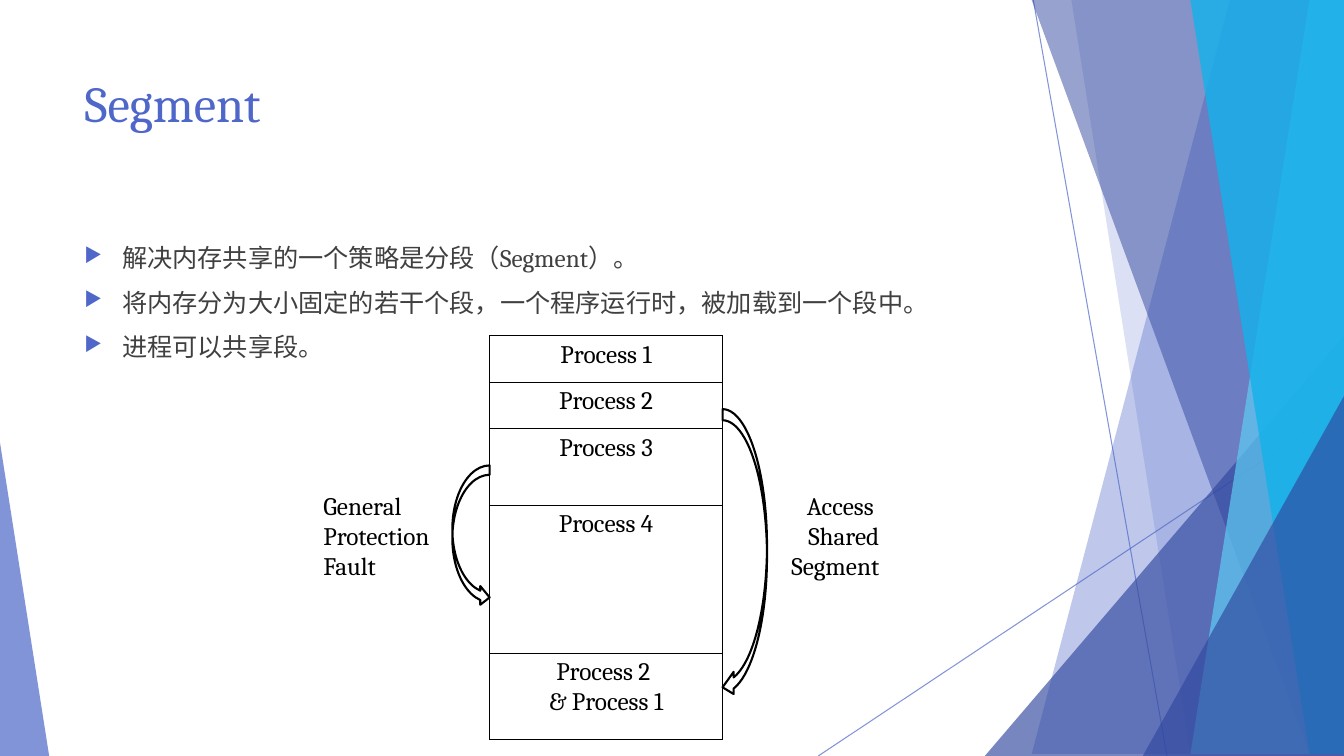
from dataclasses import dataclass

from lxml import etree
from pptx import Presentation
from pptx.dml.color import RGBColor
from pptx.enum.shapes import MSO_CONNECTOR, MSO_SHAPE
from pptx.enum.text import MSO_ANCHOR, PP_ALIGN
from pptx.oxml.ns import qn
from pptx.util import Cm, Pt

LEFT, CENTER, RIGHT = PP_ALIGN.LEFT, PP_ALIGN.CENTER, PP_ALIGN.RIGHT
TOP = MSO_ANCHOR.TOP
STRAIGHT = MSO_CONNECTOR.STRAIGHT
TRIANGLE = MSO_SHAPE.ISOSCELES_TRIANGLE
ARROW_RIGHT, ARROW_LEFT = MSO_SHAPE.CURVED_RIGHT_ARROW, MSO_SHAPE.CURVED_LEFT_ARROW
TITLE_ONLY = 5
WIDTH, HEIGHT = 33.87, 19.05


@dataclass(frozen=True)
class Theme:
    font: str = "Cambria"
    title_size: int = 36
    text_size: int = 18
    accent: str = "4E67C8"
    navy: str = "31489F"
    sky: str = "5ECCF3"
    cyan: str = "12B2EB"
    body: str = "404040"
    ink: str = "000000"


theme = Theme()


def set_opacity(shape, percent):
    for color in shape.element.spPr.iter(qn("a:srgbClr")):
        etree.SubElement(color, qn("a:alpha"), val=str(percent * 1000))


def write_lines(frame, lines, align=LEFT, color=theme.ink, size=theme.text_size):
    frame.word_wrap = True
    frame.vertical_anchor = TOP
    frame.text = "\n".join(lines)
    for paragraph in frame.paragraphs:
        paragraph.alignment = align
        font = paragraph.runs[0].font
        font.name, font.size = theme.font, Pt(size)
        font.color.rgb = RGBColor.from_string(color)


presentation = Presentation()
presentation.slide_width, presentation.slide_height = Cm(WIDTH), Cm(HEIGHT)
slide = presentation.slides.add_slide(presentation.slide_layouts[TITLE_ONLY])
shapes = slide.shapes

# Background: thin lines, then translucent panes and corner triangles
for ends in [(26.04, 0, 29.41, HEIGHT), (WIDTH, 10.24, 20.62, HEIGHT)]:
    line = shapes.add_connector(STRAIGHT, *map(Cm, ends))
    line.line.color.rgb = RGBColor.from_string(theme.accent)
    line.line.width = Pt(0.75)
    set_opacity(line, 70)
    etree.SubElement(line.element.spPr, qn("a:effectLst"))

# A pane is (top x, bottom x) and reaches the right edge;
# a triangle is (left, top, width, height, apex position)
facets = [
    (theme.accent, 36, (31.19, 25.5)),
    (theme.accent, 20, (26.67, 30.05)),
    (theme.navy, 66, (24.82, 8.46, 9.05, 10.59, 1)),
    (theme.navy, 50, (25.93, 32.79)),
    (theme.sky, 70, (33.1, 30.28)),
    (theme.cyan, 80, (30.38, 33.48)),
    (theme.navy, 66, (28.8, 9.98, 5.07, 9.07, 1)),
    (theme.accent, 70, (0, 11.15, 1.24, 7.9, 0)),
]
for color, opacity, geometry in facets:
    if len(geometry) == 2:
        top_x, bottom_x = geometry
        outline = shapes.build_freeform(top_x, 0, scale=Cm(1))
        outline.add_line_segments([(WIDTH, 0), (WIDTH, HEIGHT), (bottom_x, HEIGHT)])
        facet = outline.convert_to_shape()
    else:
        *box, apex = geometry
        facet = shapes.add_shape(TRIANGLE, *map(Cm, box))
        facet.adjustments[0] = apex
    facet.shadow.inherit = False
    facet.fill.solid()
    facet.fill.fore_color.rgb = RGBColor.from_string(color)
    facet.line.fill.background()
    set_opacity(facet, opacity)

# Title
title = shapes.title
title_box = {"left": 1.88, "top": 1.7, "width": 23.88, "height": 3.66}
for name, value in title_box.items():
    setattr(title, name, Cm(value))
write_lines(title.text_frame, ["Segment"], color=theme.accent, size=theme.title_size)

# Bulleted text
body = shapes.add_textbox(Cm(1.88), Cm(5.99), Cm(23.88), Cm(10.77))
write_lines(body.text_frame, [
    "解决内存共享的一个策略是分段（Segment）。",
    "将内存分为大小固定的若干个段，一个程序运行时，被加载到一个段中。",
    "进程可以共享段。",
], color=theme.body)
for paragraph in body.text_frame.paragraphs:
    paragraph.space_before = Pt(10)
    properties = paragraph._p.get_or_add_pPr()
    properties.set("marL", str(Cm(0.95)))
    properties.set("indent", str(-Cm(0.95)))
    bullet_color = etree.SubElement(properties, qn("a:buClr"))
    etree.SubElement(bullet_color, qn("a:srgbClr"), val=theme.accent)
    etree.SubElement(properties, qn("a:buSzPct"), val="80000")
    etree.SubElement(properties, qn("a:buChar"), char="▶")

# Memory layout
segments = [
    (1.17, ["Process 1"]),
    (1.17, ["Process 2"]),
    (1.93, ["Process 3"]),
    (3.73, ["Process 4"]),
    (2.18, ["Process 2 ", "& Process 1"]),
]
memory_height = sum(height for height, _ in segments)
memory = shapes.add_table(
    len(segments), 1, Cm(12.34), Cm(8.46), Cm(5.87), Cm(memory_height)).table
memory.first_row = memory.horz_banding = False
for row, (height, lines) in zip(memory.rows, segments):
    row.height = Cm(height)
    cell = row.cells[0]
    write_lines(cell.text_frame, lines, CENTER)
    cell_properties = cell._tc.get_or_add_tcPr()
    for side in ("a:lnL", "a:lnR", "a:lnT", "a:lnB"):
        border = etree.SubElement(cell_properties, qn(side), w=str(Pt(1)))
        border_fill = etree.SubElement(border, qn("a:solidFill"))
        etree.SubElement(border_fill, qn("a:srgbClr"), val=theme.ink)
    cell.fill.background()

# Accesses between segments, each with its label
accesses = [
    (ARROW_RIGHT, (11.4, 11.73, 0.94, 3.56),
     (7.9, 12.22, 4.34, 2.57), LEFT, ["General", "Protection", "Fault"]),
    (ARROW_LEFT, (18.21, 10.31, 1.12, 7.29),
     (19.13, 12.22, 3.28, 2.57), RIGHT, ["Access ", "Shared", "Segment"]),
]
for kind, arrow_box, label_box, align, lines in accesses:
    arrow = shapes.add_shape(kind, *map(Cm, arrow_box))
    arrow.shadow.inherit = False
    arrow.fill.background()
    arrow.line.color.rgb = RGBColor.from_string(theme.ink)
    arrow.line.width = Pt(1.5)
    label = shapes.add_textbox(*map(Cm, label_box))
    write_lines(label.text_frame, lines, align)

presentation.save("out.pptx")
